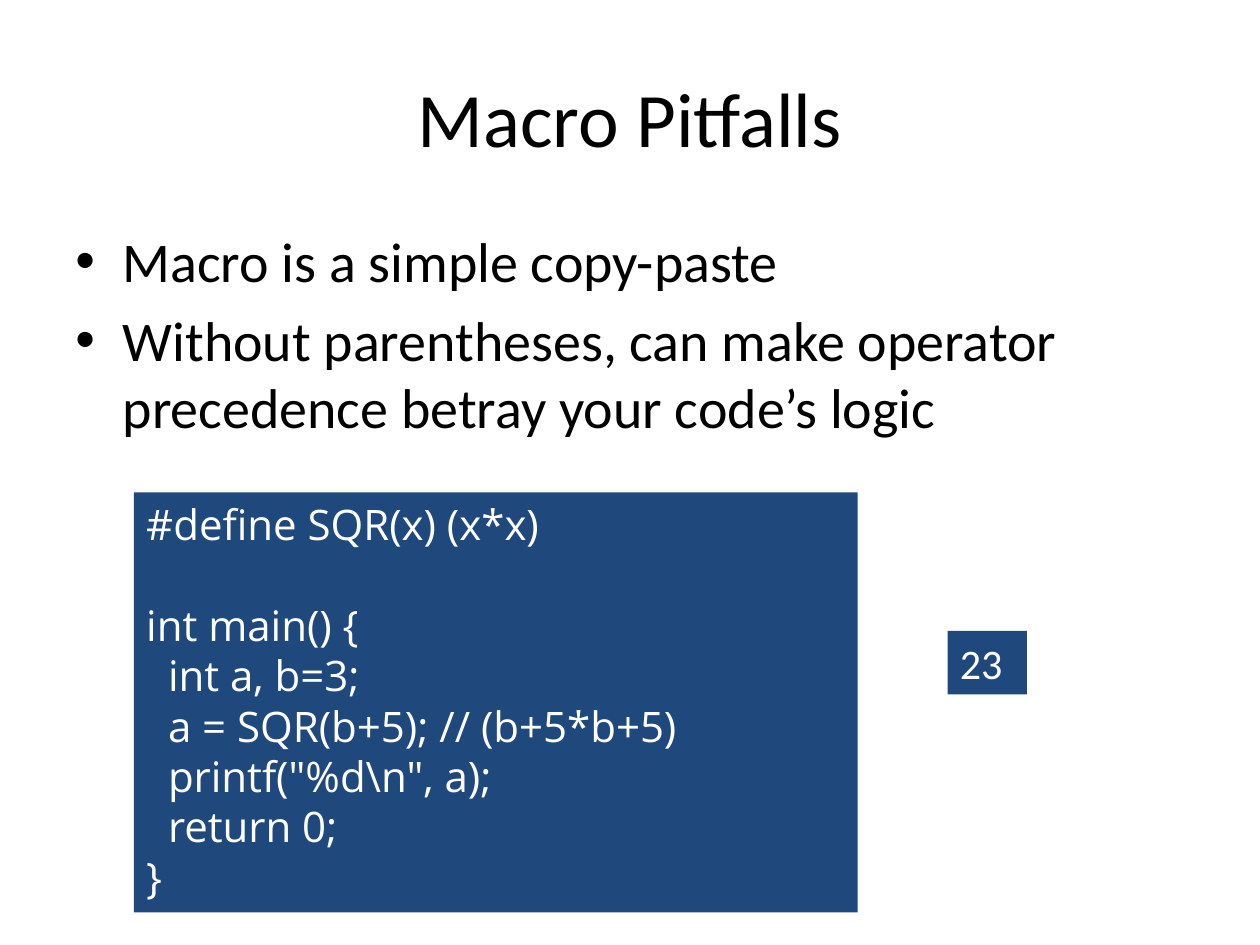
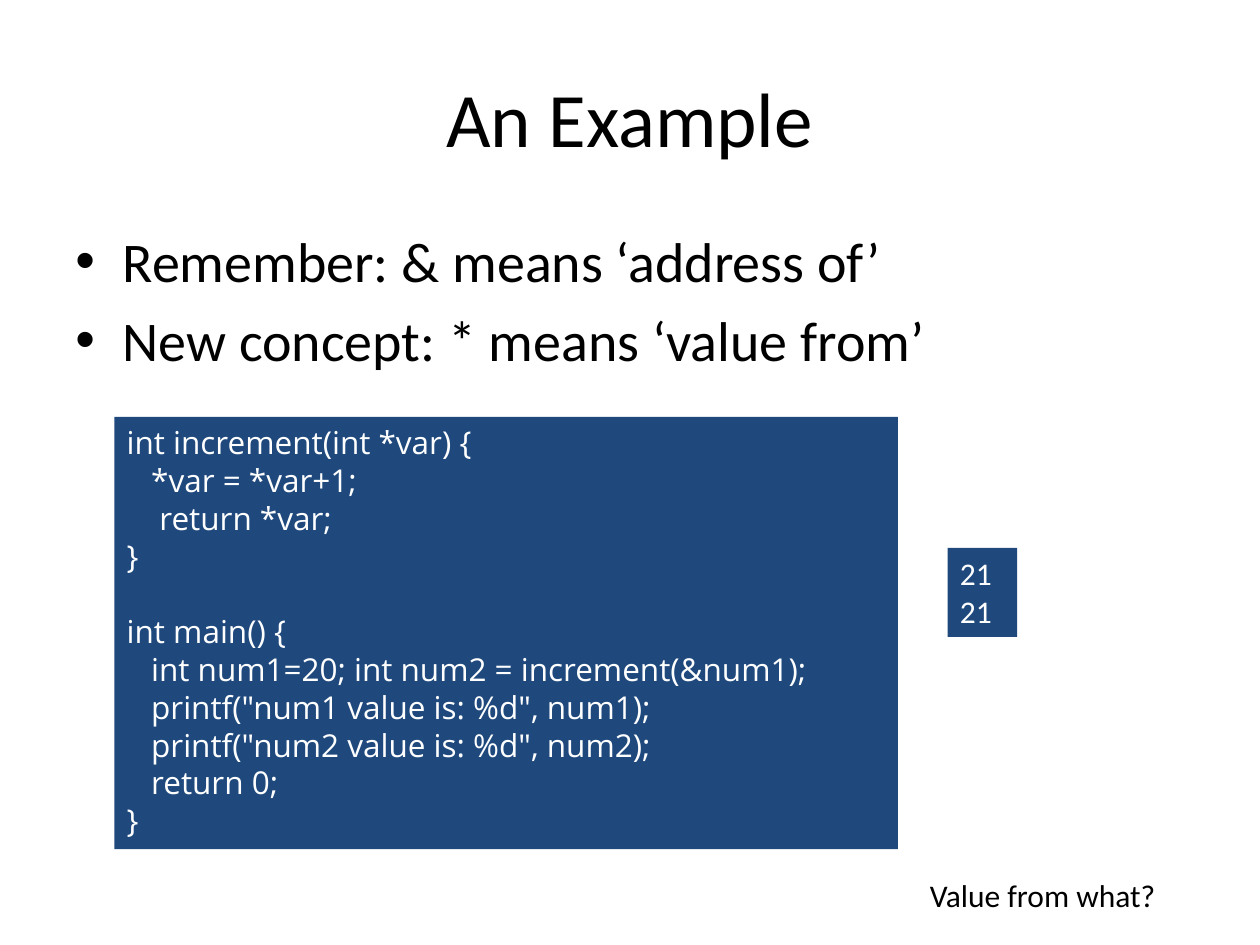
"""Builds two slides on C macros and pointers."""
from lxml.etree import SubElement
from pptx import Presentation
from pptx.dml.color import RGBColor
from pptx.enum.text import MSO_ANCHOR, MSO_AUTO_SIZE, PP_ALIGN
from pptx.oxml.ns import qn
from pptx.util import Pt

BLACK = RGBColor(0x00, 0x00, 0x00)
WHITE = RGBColor(0xFF, 0xFF, 0xFF)
NAVY = RGBColor(0x1F, 0x49, 0x7D)
TEXT_FONT = "Calibri"
CODE_FONT = "Open Sans"
TITLE_AREA = (36, 21.6, 648, 90)
POINTS_AREA = (36, 126, 648, 356.4)
BULLET_INDENT = 27
LINE_PITCH = 1.2

LESSONS = [
    {
        "title": "Macro Pitfalls",
        "points": [
            "Macro is a simple copy-paste",
            "Without parentheses, can make operator precedence betray your code’s logic",
        ],
        "code_size": 24,
        "code_area": (76.5, 281.3, 413.7, 240),
        "code": """#define SQR(x) (x*x)

int main() {
  int a, b=3;
  a = SQR(b+5); // (b+5*b+5)
  printf("%d\\n", a);
  return 0;
}""",
        "output_area": (541.5, 360.5, 45.3, 36.3),
        "output": ["23"],
    },
    {
        "title": "An Example",
        "points": [
            "Remember: & means ‘address of’",
            "New concept: * means ‘value from’",
        ],
        "code_size": 18,
        "code_area": (65.3, 238.3, 447.8, 247),
        "code": """int increment(int *var) {
   *var = *var+1;
    return *var;
}

int main() {
   int num1=20; int num2 = increment(&num1);
   printf("num1 value is: %d", num1);
   printf("num2 value is: %d", num2);
   return 0;
}""",
        "output_area": (541.5, 313.1, 39.8, 50.9),
        "output": ["21", "21"],
        "question": "Value from what?",
        "question_area": (524.2, 497, 147.6, 29),
    },
]


def place(part, area):
    """Moves and sizes a part, in points."""
    part.left, part.top, part.width, part.height = map(Pt, area)


def add_bullet(paragraph):
    """Gives a paragraph a hanging round bullet."""
    properties = paragraph._p.get_or_add_pPr()
    properties.set("marL", str(Pt(BULLET_INDENT)))
    properties.set("indent", str(-Pt(BULLET_INDENT)))
    SubElement(properties, qn("a:buFont")).set("typeface", "Arial")
    SubElement(properties, qn("a:buChar")).set("char", "•")


def write(frame, lines, size, font=TEXT_FONT, color=BLACK, align=PP_ALIGN.LEFT,
          bullets=False, gap=0):
    """Writes lines into a frame; an empty line becomes space before the next."""
    frame.word_wrap = True
    paragraph = frame.paragraphs[0]
    skipped = 0
    for index, line in enumerate(lines):
        if not line:
            skipped += LINE_PITCH * size
            continue
        if index:
            paragraph = frame.add_paragraph()
            paragraph.space_before = Pt(gap + skipped)
        skipped = 0
        if bullets:
            add_bullet(paragraph)
        paragraph.alignment = align
        run = paragraph.add_run()
        run.text = line
        run.font.size = Pt(size)
        run.font.name = font
        run.font.color.rgb = color


def add_box(slide, area, lines, size, fill=None, grow=True, **style):
    """Adds a text box, filled when a colour is given."""
    box = slide.shapes.add_textbox(*map(Pt, area))
    if fill is not None:
        box.fill.solid()
        box.fill.fore_color.rgb = fill
    write(box.text_frame, lines, size, **style)
    box.text_frame.auto_size = (
        MSO_AUTO_SIZE.SHAPE_TO_FIT_TEXT if grow else MSO_AUTO_SIZE.NONE)


def add_lesson(deck, lesson):
    """Adds the slide of one lesson."""
    slide = deck.slides.add_slide(deck.slide_layouts.get_by_name("Title Only"))
    title = slide.shapes.title
    place(title, TITLE_AREA)
    title.text_frame.vertical_anchor = MSO_ANCHOR.MIDDLE
    write(title.text_frame, [lesson["title"]], 44, align=PP_ALIGN.CENTER)

    add_box(slide, POINTS_AREA, lesson["points"], 32, grow=False, bullets=True, gap=6.4)
    size = lesson["code_size"]
    add_box(slide, lesson["code_area"], lesson["code"].split("\n"), size,
            fill=NAVY, font=CODE_FONT, color=WHITE)
    add_box(slide, lesson["output_area"], lesson["output"], size, fill=NAVY, color=WHITE)
    if "question" in lesson:
        add_box(slide, lesson["question_area"], [lesson["question"]], 18)


def main():
    """Builds and saves the deck."""
    deck = Presentation()
    deck.slide_width, deck.slide_height = Pt(720), Pt(540)
    for lesson in LESSONS:
        add_lesson(deck, lesson)
    deck.save("out.pptx")


if __name__ == "__main__":
    main()
